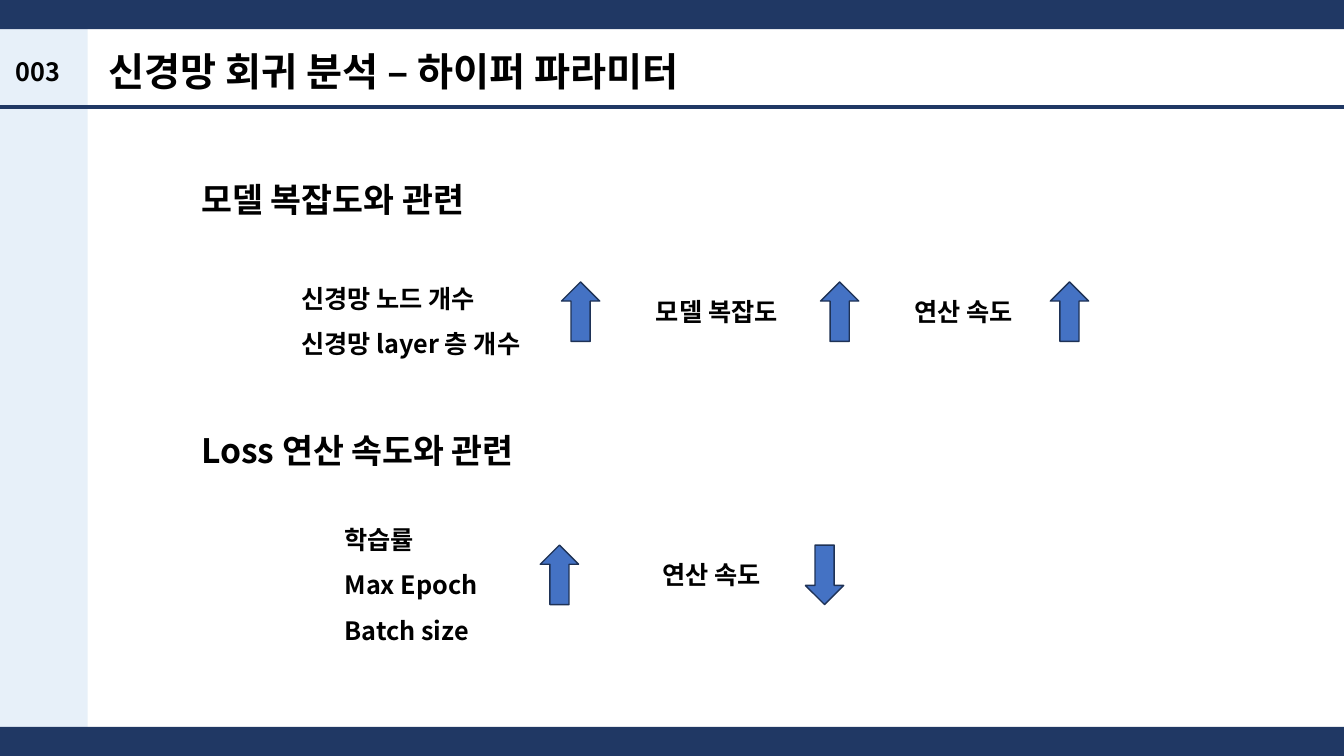
from lxml.etree import SubElement
from pptx import Presentation
from pptx.dml.color import RGBColor
from pptx.enum.shapes import MSO_CONNECTOR, MSO_SHAPE
from pptx.enum.text import MSO_AUTO_SIZE, PP_ALIGN
from pptx.oxml.ns import qn
from pptx.util import Pt

FONT = "Noto Sans CJK KR"
COLORS = {
    "navy": "203864",
    "side": "DEEBF7",
    "arrow": "4472C4",
    "arrow_edge": "1E3256",
    "text": "000000",
}
WIDTH, HEIGHT = 960, 540
BAR_HEIGHT = 20.88
SIDE_WIDTH = 62.64
RULE_Y = 76.32
ARROW_WIDTH, ARROW_HEIGHT = 27.36, 42.48

PAGE_NUMBER = ("003", 4.32, 36.72, 53.28, 28.8)
TITLE = ("신경망 회귀 분석 – 하이퍼 파라미터", 70.56, 30.24, 748.8, 41.04)

# Headings: text, top, width
HEADING_LEFT = 136.8
HEADINGS = [
    ("모델 복잡도와 관련", 124.56, 264.24),
    ("Loss 연산 속도와 관련", 303.84, 284.4),
]

# Parameter lists: lines, left, top, width, height
PARAMETERS = [
    (["신경망 노드 개수", "신경망 layer 층 개수"], 208.08, 187.92, 188.64, 68.4),
    (["학습률", "Max Epoch", "Batch size"], 239.04, 360, 123.12, 101.52),
]

# Effect rows: centre line, labels (text, left, width), arrows (left, rotation)
EFFECTS = [
    (
        222.6,
        [("모델 복잡도", 461.52, 124.56), ("연산 속도", 645.84, 103.68)],
        [(401.04, 0), (586.08, 0), (750.24, 0)],
    ),
    (
        410.6,
        [("연산 속도", 465.84, 96.48)],
        [(385.92, 0), (575.28, 180)],
    ),
]
LABEL_HEIGHT = 28.8


def color(name):
    return RGBColor.from_string(COLORS[name])


def add_filled(page, kind, left, top, width, height, fill, edge=None):
    shape = page.shapes.add_shape(kind, Pt(left), Pt(top), Pt(width), Pt(height))
    shape.shadow.inherit = False
    shape.fill.solid()
    shape.fill.fore_color.rgb = color(fill)
    if edge:
        shape.line.color.rgb = color(edge)
        shape.line.width = Pt(1)
    else:
        shape.line.fill.background()
    return shape


def add_text(page, lines, left, top, width, height, size=18, spacing=None, align=None):
    box = page.shapes.add_textbox(Pt(left), Pt(top), Pt(width), Pt(height))
    frame = box.text_frame
    frame.word_wrap = True
    frame.auto_size = MSO_AUTO_SIZE.SHAPE_TO_FIT_TEXT
    for index, line in enumerate(lines):
        para = frame.add_paragraph() if index else frame.paragraphs[0]
        para.line_spacing = spacing
        para.alignment = align
        span = para.add_run()
        span.text = line
        span.font.size = Pt(size)
        span.font.bold = True
        span.font.name = FONT
        span.font.color.rgb = color("text")
        SubElement(span.font._element, qn("a:ea"), typeface=FONT)


def add_frame(page):
    """Draw the side panel, the two bars and the rule under the title."""
    side = add_filled(page, MSO_SHAPE.RECTANGLE, 0, 0, SIDE_WIDTH, HEIGHT, "side")
    tint = side.fill._xPr.find(".//" + qn("a:srgbClr"))
    SubElement(tint, qn("a:alpha"), val="72000")
    for top in (0, HEIGHT - BAR_HEIGHT):
        add_filled(page, MSO_SHAPE.RECTANGLE, 0, top, WIDTH, BAR_HEIGHT, "navy")
    rule = page.shapes.add_connector(
        MSO_CONNECTOR.STRAIGHT, 0, Pt(RULE_Y), Pt(WIDTH), Pt(RULE_Y)
    )
    rule.line.color.rgb = color("navy")
    rule.line.width = Pt(3)
    SubElement(rule._element.spPr, qn("a:effectLst"))


def main():
    deck = Presentation()
    deck.slide_width, deck.slide_height = Pt(WIDTH), Pt(HEIGHT)
    page = deck.slides.add_slide(deck.slide_layouts[6])

    add_frame(page)
    number, *place = PAGE_NUMBER
    add_text(page, [number], *place, align=PP_ALIGN.JUSTIFY)
    title, *place = TITLE
    add_text(page, [title], *place, size=28)

    for heading, top, width in HEADINGS:
        add_text(page, [heading], HEADING_LEFT, top, width, 36, size=24)
    for lines, *place in PARAMETERS:
        add_text(page, lines, *place, spacing=1.5)

    for middle, labels, arrows in EFFECTS:
        for label, left, width in labels:
            top = middle - LABEL_HEIGHT / 2
            add_text(page, [label], left, top, width, LABEL_HEIGHT)
        for left, rotation in arrows:
            arrow = add_filled(
                page, MSO_SHAPE.UP_ARROW, left, middle - ARROW_HEIGHT / 2,
                ARROW_WIDTH, ARROW_HEIGHT, "arrow", "arrow_edge",
            )
            arrow.rotation = rotation

    deck.save("out.pptx")


if __name__ == "__main__":
    main()
